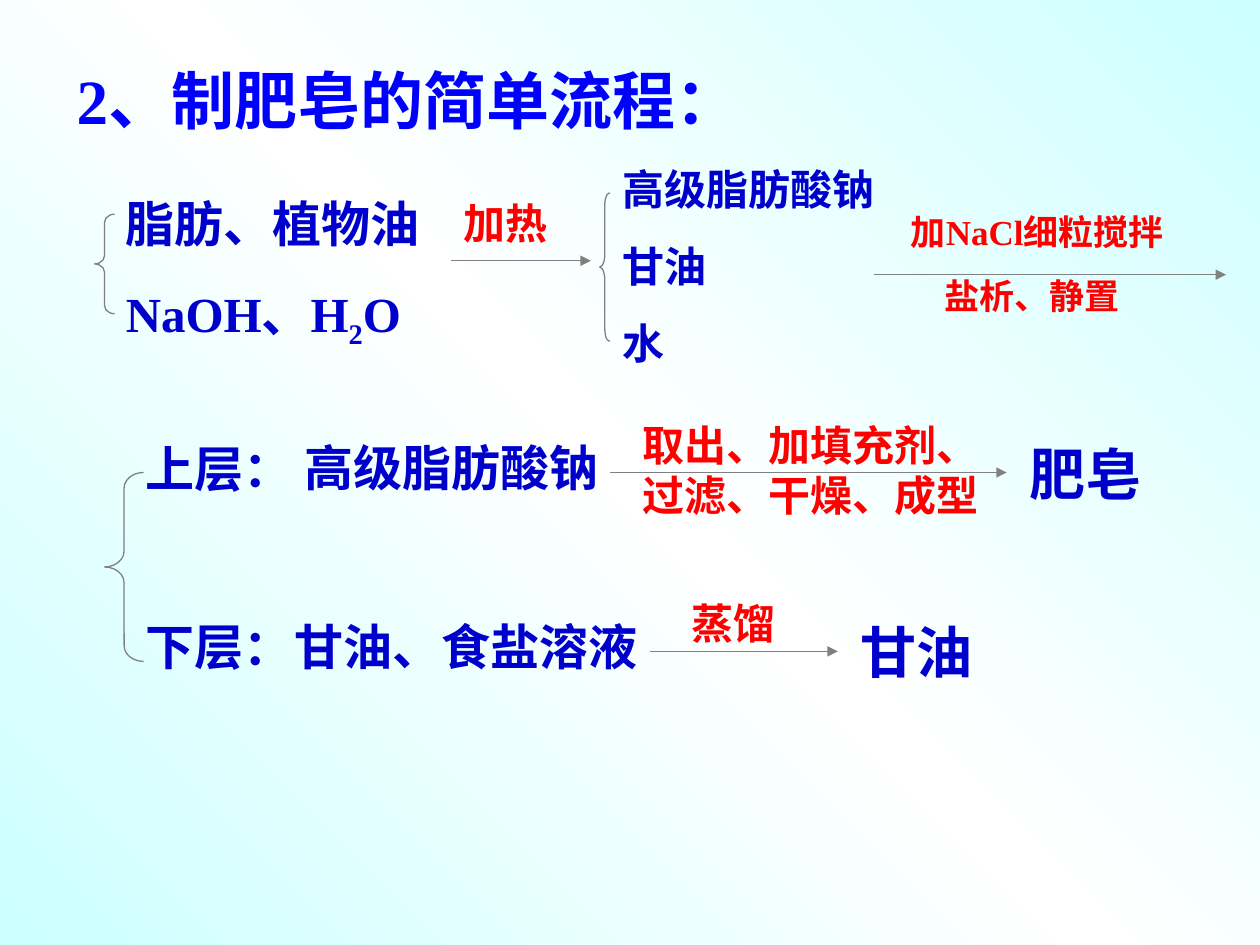
import collections
import copy

import pptx
import pptx.dml.color
import pptx.enum.shapes
import pptx.enum.text
import pptx.oxml
import pptx.util

COLORS = {"title": "0000FF", "substance": "0000CC", "operation": "FF0000",
          "line": "808080", "edge": "CCFFFF", "middle": "FFFFFF"}
FONT = "Times New Roman"
COLUMNS, ROWS = 100, 75
WIDTH, HEIGHT = pptx.util.Inches(10), pptx.util.Inches(7.5)
DRAWING = "http://schemas.openxmlformats.org/drawingml/2006/main"

Box = collections.namedtuple("Box", "left top width height")


def rgb(name):
    """Return the named colour."""
    return pptx.dml.color.RGBColor.from_string(COLORS[name])


def inside(box, left, top, width, height):
    """Return a box placed relative to the corner of another."""
    return Box(box.left + left, box.top + top, width, height)


def lengths(box):
    """Convert a box in columns and rows to slide lengths."""
    column, row = WIDTH / COLUMNS, HEIGHT / ROWS
    return [round(value * unit) for value, unit in zip(box, (column, row, column, row))]


def apply(target, values):
    """Set every attribute in a dict of format values."""
    for name, value in values.items():
        setattr(target, name, value)


def style_line(line):
    """Give a line the thin grey stroke of the flow chart."""
    line.color.rgb = rgb("line")
    line.width = pptx.util.Pt(0.75)


def add_text(slide, box, paragraphs, size, color, gap=None, indent=0):
    """Add bold text; each paragraph is a list of (text, baseline) runs."""
    frame = slide.shapes.add_textbox(*lengths(box)).text_frame
    apply(frame, {"word_wrap": True,
                  "auto_size": pptx.enum.text.MSO_AUTO_SIZE.SHAPE_TO_FIT_TEXT})
    for index, runs in enumerate(paragraphs):
        paragraph = frame.add_paragraph() if index else frame.paragraphs[0]
        if index:
            paragraph.space_before = pptx.util.Pt(gap or size * 0.625)
            if indent:
                margin = round(indent * WIDTH / COLUMNS)
                paragraph._p.get_or_add_pPr().set("marL", str(margin))
        for text, baseline in runs:
            run = paragraph.add_run()
            run.text = text
            apply(run.font, {"name": FONT, "size": pptx.util.Pt(size), "bold": True})
            run.font.color.rgb = rgb(color)
            if baseline:
                run._r.get_or_add_rPr().set("baseline", str(baseline))


def plain(*texts):
    """Turn strings into paragraphs of one run each."""
    return [[(text, 0)] for text in texts]


def add_background(slide):
    """Fill the slide with a diagonal gradient, light in the middle."""
    fill = slide.background.fill
    fill.gradient()
    fill.gradient_angle = 45
    stops = fill.gradient_stops
    for stop, position, color in zip(stops, (0, 1), ("edge", "edge")):
        stop.position = position
        stop.color.rgb = rgb(color)
    first = stops[0]._gs
    first.addnext(copy.deepcopy(first))
    middle = fill.gradient_stops[1]
    middle.position = 0.5
    middle.color.rgb = rgb("middle")


def add_braced_list(slide, box, brace, text_left, paragraphs, size, gap=None):
    """Place a left brace and the list of substances that it holds."""
    place = inside(box, 0, *brace)
    kind = pptx.enum.shapes.MSO_SHAPE.LEFT_BRACE
    shape = slide.shapes.add_shape(kind, *lengths(place))
    shape.shadow.inherit = False
    shape.fill.background()
    style_line(shape.line)
    shape.adjustments[0] = place.height / place.width / 12
    text_box = inside(box, text_left, 0, box.width - text_left, box.height)
    add_text(slide, text_box, paragraphs, size, "substance", gap)


def add_step(slide, box, drop, label, paragraphs, size, indent=0):
    """Place an arrow across the box and the label of its operation."""
    left, top, width, _ = lengths(inside(box, 0, drop, box.width, 0))
    kind = pptx.enum.shapes.MSO_CONNECTOR.STRAIGHT
    arrow = slide.shapes.add_connector(kind, left, top, left + width, top)
    style_line(arrow.line)
    arrow.line._get_or_add_ln().append(
        pptx.oxml.parse_xml(f'<a:tailEnd xmlns:a="{DRAWING}" type="triangle"/>'))
    arrow._element.spPr.append(
        pptx.oxml.parse_xml(f'<a:effectLst xmlns:a="{DRAWING}"/>'))
    label_left, label_width = label
    add_text(slide, inside(box, label_left, 0, label_width, box.height),
             paragraphs, size, "operation", indent=indent)


def add_reaction(slide, box):
    """Place the upper row: reactants, heating, products and salting out."""
    reactants = plain("脂肪、植物油") + [[("NaOH、H", 0), ("2", -25000), ("O", 0)]]
    add_braced_list(slide, inside(box, 0, 2.4, 29.9, 13.4), (2.1, 1.6, 7.9), 1.5,
                    reactants, 28)
    add_step(slide, inside(box, 28.3, 2.7, 11.1, 5), 5.5, (0, 13.4), plain("加热"), 24)
    add_braced_list(slide, inside(box, 40.1, 0, 26, 17.2), (2.8, 0.8, 11.8), 0.8,
                    plain("高级脂肪酸钠", "甘油", "水"), 24)
    add_step(slide, inside(box, 61.9, 3.7, 27.9, 9.4), 5.6, (1.9, 26),
             plain("加NaCl细粒搅拌", "盐析、静置"), 20, indent=2.7)


def add_separation(slide, box):
    """Place the lower rows: the two layers, their steps and the products."""
    add_braced_list(slide, inside(box, 0, 1.5, 16.5, 19.9), (3.2, 3.1, 15), 2.3,
                    plain("上层：", "下层："), 28, gap=68)
    substances = [((14.9, 1.4, 27.6, 5.7), "高级脂肪酸钠", 28),
                  ((14.1, 15.6, 31.5, 5.7), "甘油、食盐溶液", 28),
                  ((72.4, 1.6, 13.4, 6.4), "肥皂", 32),
                  ((59, 15.7, 17.3, 6.4), "甘油", 32)]
    for place, text, size in substances:
        add_text(slide, inside(box, *place), plain(text), size, "substance")
    add_step(slide, inside(box, 40.1, 0, 31.5, 9), 4.7, (1.6, 29.9),
             plain("取出、加填充剂、过滤、干燥、成型"), 24)
    add_step(slide, inside(box, 43.3, 14.1, 14.9, 5), 4.8, (2.3, 11.8),
             plain("蒸馏"), 24)


def main():
    """Build the slide and save it."""
    presentation = pptx.Presentation()
    apply(presentation, {"slide_width": WIDTH, "slide_height": HEIGHT})
    slide = presentation.slides.add_slide(presentation.slide_layouts[6])
    add_background(slide)
    add_text(slide, Box(5.1, 4.4, 87.4, 7), plain("2、制肥皂的简单流程："), 36, "title")
    add_reaction(slide, Box(7.5, 12.5, 89.8, 17.2))
    add_separation(slide, Box(8.3, 32.8, 85.8, 22.1))
    presentation.save("out.pptx")


if __name__ == "__main__":
    main()
